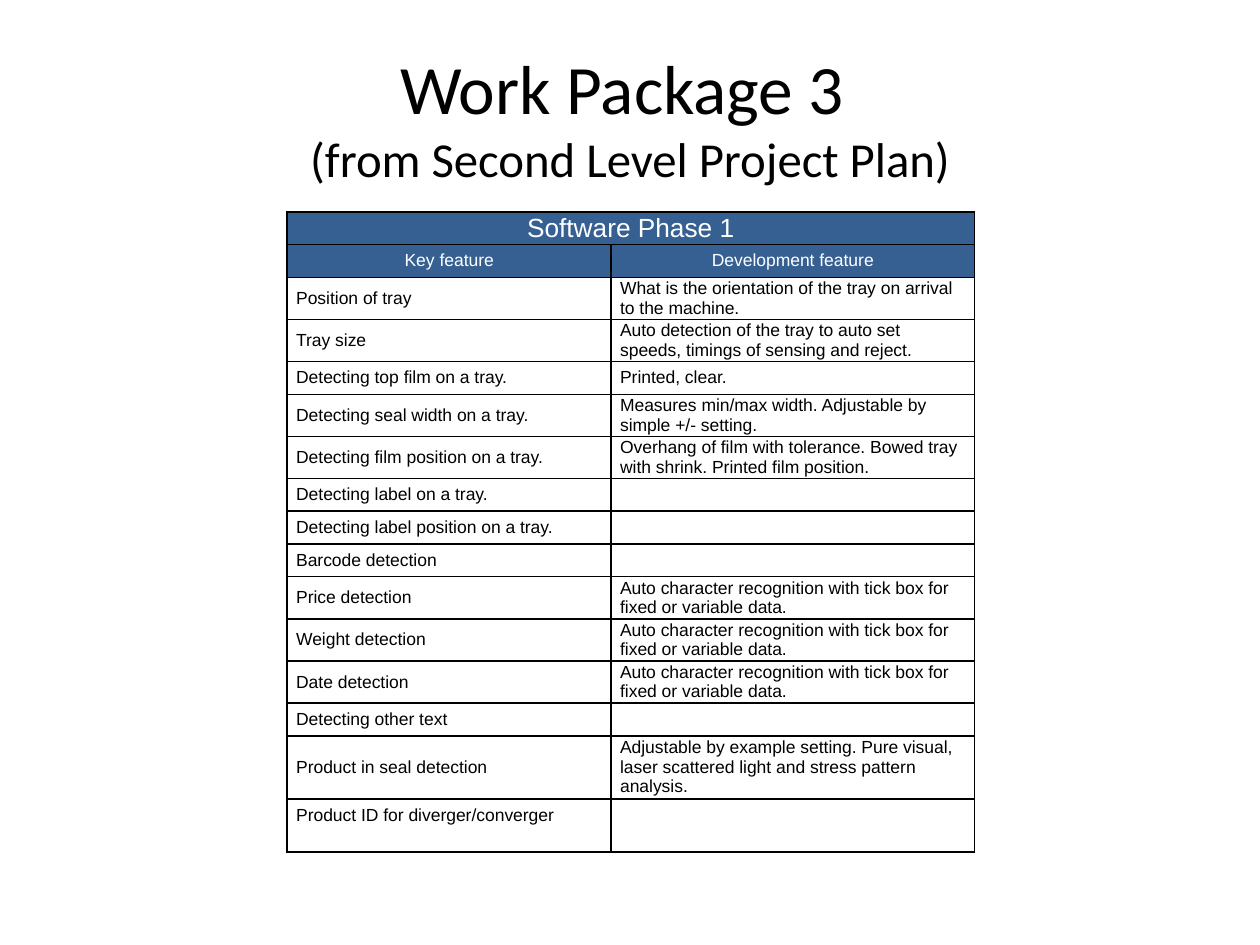
from lxml import etree
from pptx import Presentation
from pptx.dml.color import RGBColor
from pptx.enum.text import MSO_ANCHOR, PP_ALIGN
from pptx.oxml.ns import qn
from pptx.util import Cm, Pt

MIDDLE = MSO_ANCHOR.MIDDLE
CENTER, LEFT = PP_ALIGN.CENTER, PP_ALIGN.LEFT

BLACK, WHITE, BLUE = "000000", "FFFFFF", "366092"
BORDER_WIDTH = Pt(1)
COLUMN_WIDTHS = (6.53, 7.32)
SINGLE, DOUBLE, TRIPLE, SPACER = 0.66, 0.81, 1.22, 0.41

RECOGNITION = "Auto character recognition with tick box for fixed or variable data."
# Row height in cm, key feature, development feature
FEATURES = [
    (DOUBLE, "Position of tray",
     "What is the orientation of the tray on arrival to the machine."),
    (DOUBLE, "Tray size",
     "Auto detection of the tray to auto set speeds, timings of sensing and reject."),
    (SINGLE, "Detecting top film on a tray.", "Printed, clear."),
    (DOUBLE, "Detecting seal width on a tray.",
     "Measures min/max width. Adjustable by simple +/- setting."),
    (DOUBLE, "Detecting film position on a tray.",
     "Overhang of film with tolerance. Bowed tray with shrink. Printed film position."),
    (SINGLE, "Detecting label on a tray.", ""),
    (SINGLE, "Detecting label position on a tray.", ""),
    (SINGLE, "Barcode detection", ""),
    (DOUBLE, "Price detection", RECOGNITION),
    (DOUBLE, "Weight detection", RECOGNITION),
    (DOUBLE, "Date detection", RECOGNITION),
    (SINGLE, "Detecting other text", ""),
    (TRIPLE, "Product in seal detection",
     "Adjustable by example setting. Pure visual, laser scattered light "
     "and stress pattern analysis."),
    (SINGLE, "Product ID for diverger/converger", ""),
    (SPACER, "", ""),
]


def color(value):
    return RGBColor.from_string(value)


def set_borders(cell, hidden=""):
    """Draw the four cell borders, except the sides named in hidden."""
    properties = cell._tc.get_or_add_tcPr()
    for side in "LRTB":
        line = etree.SubElement(properties, qn(f"a:ln{side}"), w=str(BORDER_WIDTH))
        if side in hidden:
            etree.SubElement(line, qn("a:noFill"))
        else:
            fill = etree.SubElement(line, qn("a:solidFill"))
            etree.SubElement(fill, qn("a:srgbClr"), val=BLACK)


def fill_cell(cell, text, size=10, header=False, hidden=""):
    set_borders(cell, hidden)
    if header:
        cell.fill.solid()
        cell.fill.fore_color.rgb = color(BLUE)
    else:
        cell.fill.background()
    cell.vertical_anchor = MIDDLE
    cell.margin_left = cell.margin_right = Cm(0.18)
    cell.margin_top = cell.margin_bottom = 0
    cell.text = text
    para = cell.text_frame.paragraphs[0]
    para.alignment = CENTER if header else LEFT
    para.font.name = "Arial"
    para.font.size = Pt(size)
    para.font.color.rgb = color(WHITE if header else BLACK)
    if not text:
        # An empty paragraph takes its height from its end mark
        etree.SubElement(para._p, qn("a:endParaRPr"), sz=str(size * 100))


def add_title(page, left, top, width, height):
    box = page.shapes.add_textbox(Cm(left), Cm(top), Cm(width), Cm(height))
    frame = box.text_frame
    frame.word_wrap = True
    frame.vertical_anchor = MIDDLE
    para = frame.paragraphs[0]
    para.alignment = CENTER
    para.font.name = "Calibri"
    para.font.color.rgb = color(BLACK)
    heading = para.add_run()
    heading.text = "Work Package 3 "
    heading.font.size = Pt(39.6)
    para.add_line_break()
    subheading = para.add_run()
    subheading.text = "(from Second Level Project Plan)"
    subheading.font.size = Pt(27.9)


def add_feature_table(page, left, top):
    heights = [SINGLE, SINGLE] + [feature[0] for feature in FEATURES]
    frame = page.shapes.add_table(
        len(heights), len(COLUMN_WIDTHS), Cm(left), Cm(top),
        Cm(sum(COLUMN_WIDTHS)), Cm(sum(heights)))
    table = frame.table
    table.first_row = table.horz_banding = False
    for column, width in zip(table.columns, COLUMN_WIDTHS):
        column.width = Cm(width)
    for row, height in zip(table.rows, heights):
        row.height = Cm(height)

    # Header rows
    table.cell(0, 0).merge(table.cell(0, 1))
    fill_cell(table.cell(0, 0), "Software Phase 1", size=15, header=True)
    set_borders(table.cell(0, 1))
    for index, text in enumerate(("Key feature", "Development feature")):
        fill_cell(table.cell(1, index), text, header=True)

    # Feature rows; the last two read as one tall row
    last = len(heights) - 1
    open_sides = {last - 1: "B", last: "T"}
    for row, (_, *texts) in enumerate(FEATURES, start=2):
        size = 8 if row == last else 10
        for index, text in enumerate(texts):
            fill_cell(table.cell(row, index), text, size,
                      hidden=open_sides.get(row, ""))


def main():
    deck = Presentation()
    deck.slide_width, deck.slide_height = Cm(25.4), Cm(19.05)
    page = deck.slides.add_slide(deck.slide_layouts[6])
    add_title(page, 1.27, 0.76, 22.86, 3.18)
    add_feature_table(page, 5.79, 4.27)
    deck.save("out.pptx")


if __name__ == "__main__":
    main()
